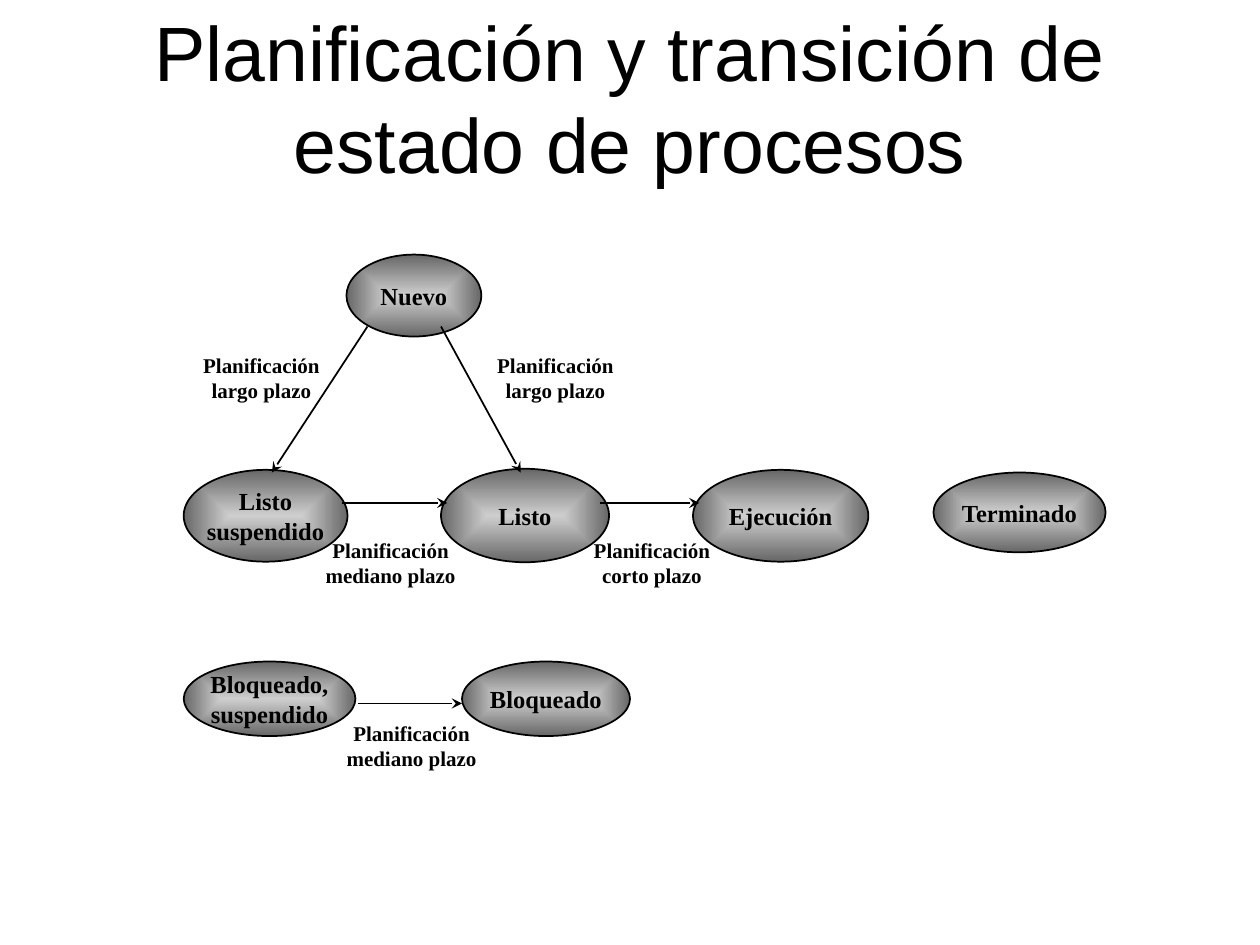
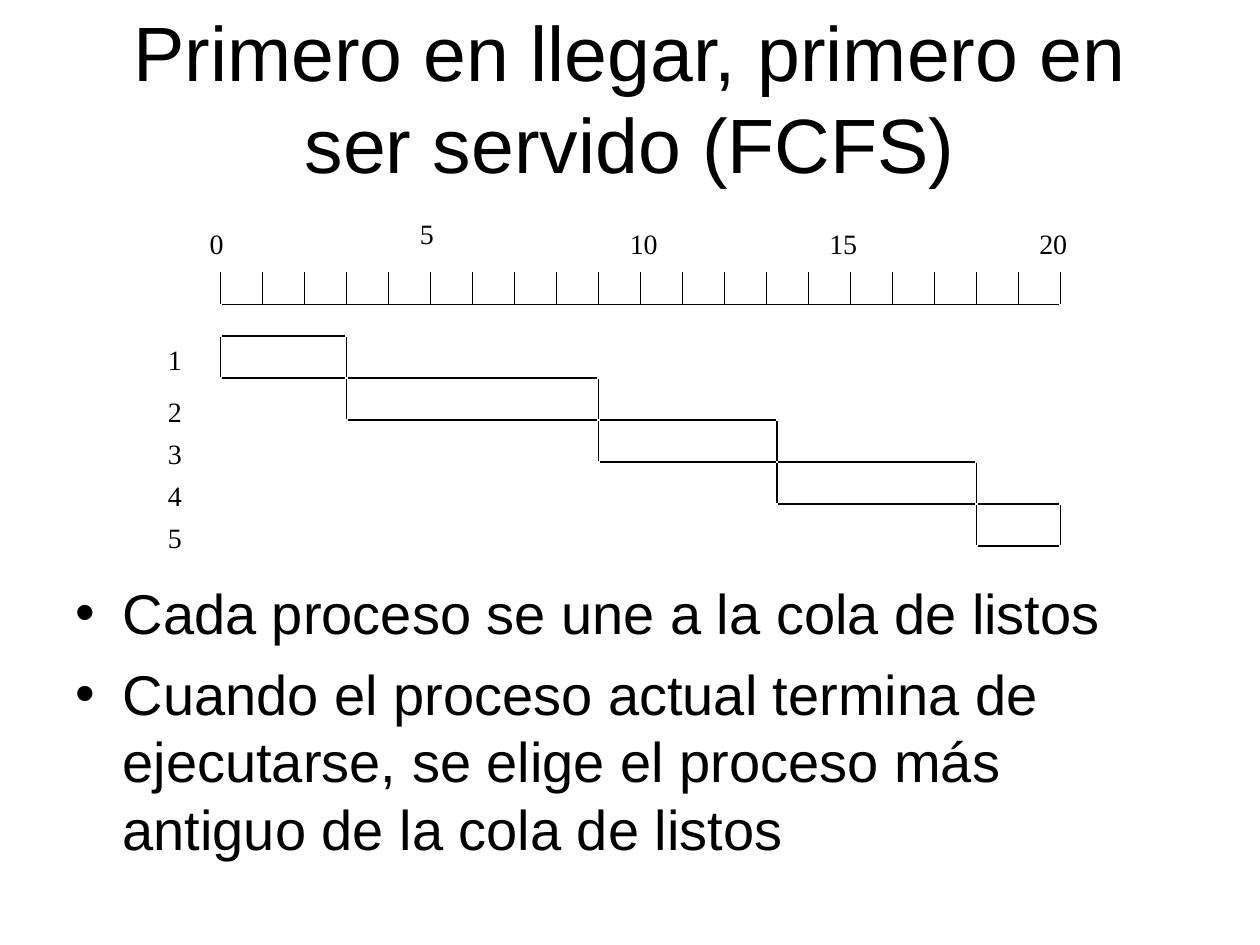
from dataclasses import dataclass
from itertools import pairwise

from lxml.etree import SubElement
from pptx import Presentation
from pptx.dml.color import RGBColor
from pptx.enum.shapes import MSO_CONNECTOR, MSO_SHAPE
from pptx.enum.text import MSO_ANCHOR, MSO_AUTO_SIZE, PP_ALIGN
from pptx.oxml.ns import qn
from pptx.util import Inches, Pt

OVAL = MSO_SHAPE.OVAL
STRAIGHT = MSO_CONNECTOR.STRAIGHT
CENTER, LEFT = PP_ALIGN.CENTER, PP_ALIGN.LEFT
MIDDLE, BOTTOM = MSO_ANCHOR.MIDDLE, MSO_ANCHOR.BOTTOM
FIXED, GROW = MSO_AUTO_SIZE.NONE, MSO_AUTO_SIZE.SHAPE_TO_FIT_TEXT

HEX = {"ink": "000000", "light": "CECECE", "dark": "676767"}
SANS, SERIF = "Arial", "Times New Roman"

# The slide is a grid of 120 columns and 90 rows of square cells.
WIDE, HIGH = Inches(10), Inches(7.5)
CELL = WIDE / 120


@dataclass(frozen=True)
class Box:
    col: float
    row: float
    cols: float
    rows: float
    text: str


@dataclass(frozen=True)
class Line:
    col: float
    row: float
    end_col: float
    end_row: float


@dataclass(frozen=True)
class Style:
    size: int
    face: str = SERIF
    bold: bool = False
    align: PP_ALIGN = CENTER


HEAD = Style(44, SANS)
BODY = Style(32, SANS, align=LEFT)
STATE = Style(14, bold=True)
LABEL = Style(12, bold=True)
MARK = Style(16, align=LEFT)

STATES = [
    Box(88.9, 45, 16.4, 7.6, "Terminado"),
    Box(66, 44.75, 16.7, 8.75, "Ejecución"),
    Box(42, 44.65, 16, 8.9, "Listo"),
    Box(44, 63, 16, 7.1, "Bloqueado"),
    Box(17.5, 63, 16.35, 7.1, "Bloqueado,\nsuspendido"),
    Box(17.5, 44.75, 15.6, 8.75, "Listo\nsuspendido"),
    Box(33, 24.25, 12.85, 7.8, "Nuevo"),
]
MOVES = [
    Line(34.1, 67, 44, 67),
    Line(32.6, 47.9, 42.6, 47.9),
    Line(35, 31.1, 25.9, 45),
    Line(42, 31.1, 49.6, 45),
    Line(57.1, 47.9, 66.6, 47.9),
]
PLANS = [
    Box(18.1, 33, 13.6, 6, "Planificación\nlargo plazo"),
    Box(29.8, 50.6, 14.8, 6, "Planificación\nmediano plazo"),
    Box(31.8, 68, 14.8, 6, "Planificación\nmediano plazo"),
    Box(46.1, 33, 13.6, 6, "Planificación\nlargo plazo"),
    Box(55.3, 50.6, 13.6, 6, "Planificación\ncorto plazo"),
]

ORIGIN, STEP, TICKS = 21, 4, 20
AXIS, TOP = 29, 32
GAP = 0.1
TIMES = [0, 3, 9, 13.25, 18, 20]
SCALE = [
    Box(18.8, 21, 3.8, 4.3, "0"),
    Box(38.8, 20, 3.8, 4.3, "5"),
    Box(58.8, 21, 5.3, 4.3, "10"),
    Box(77.8, 21, 5.3, 4.3, "15"),
    Box(97.8, 21, 5.3, 4.3, "20"),
]
JOBS = [Box(14.8, row, 3.7, 4.3, str(num))
        for num, row in enumerate((32, 37, 41, 45, 49), 1)]
POINTS = Box(6, 54.5, 108, 29.6,
             "Cada proceso se une a la cola de listos\n"
             "Cuando el proceso actual termina de ejecutarse, "
             "se elige el proceso más antiguo de la cola de listos")


def color(name: str) -> RGBColor:
    return RGBColor.from_string(HEX[name])


def cells(*counts: float) -> list[int]:
    """Turn counts of grid cells into lengths."""
    return [round(count * CELL) for count in counts]


def place(box: Box) -> list[int]:
    return cells(box.col, box.row, box.cols, box.rows)


def style_text(para, style: Style) -> None:
    para.alignment = style.align
    font = para.font
    font.name, font.size, font.bold = style.face, Pt(style.size), style.bold
    font.color.rgb = color("ink")


def write(frame, text: str, style: Style) -> None:
    frame.text = text
    for para in frame.paragraphs:
        style_text(para, style)


def add_head(deck, text: str):
    """Add a title-only slide and set its title."""
    slide = deck.slides.add_slide(deck.slide_layouts[5])
    head = slide.shapes.title
    head.left, head.top, head.width, head.height = cells(6, 3.6, 108, 15)
    frame = head.text_frame
    write(frame, text, HEAD)
    frame.word_wrap, frame.auto_size = True, FIXED
    frame.vertical_anchor = BOTTOM
    return slide


def add_text(shapes, box: Box, style: Style) -> None:
    """Add text that keeps its own line breaks."""
    frame = shapes.add_textbox(*place(box)).text_frame
    write(frame, box.text, style)
    frame.word_wrap, frame.auto_size = False, GROW


def add_line(shapes, line: Line, arrow: bool = False) -> None:
    link = shapes.add_connector(
        STRAIGHT, *cells(line.col, line.row, line.end_col, line.end_row))
    link.line.color.rgb = color("ink")
    link.line.width = Pt(1)
    props = link.element.spPr
    if arrow:
        SubElement(props.find(qn("a:ln")), qn("a:tailEnd"), type="stealth")
    SubElement(props, qn("a:effectLst"))


def add_state(shapes, box: Box) -> None:
    """Add an oval shaded from a light centre to dark edges."""
    oval = shapes.add_shape(OVAL, *place(box))
    oval.shadow.inherit = False
    oval.line.color.rgb = color("ink")
    oval.line.width = Pt(1)
    oval.fill.gradient()
    for stop, name in zip(oval.fill.gradient_stops, ("light", "dark")):
        stop.color.rgb = color(name)
    grad = oval.element.spPr.find(qn("a:gradFill"))
    grad.remove(grad.find(qn("a:lin")))
    shade = SubElement(grad, qn("a:path"), path="rect")
    SubElement(shade, qn("a:fillToRect"),
               {side: "50000" for side in "ltrb"})
    frame = oval.text_frame
    write(frame, box.text, STATE)
    frame.word_wrap, frame.vertical_anchor = False, MIDDLE


def add_points(shapes, box: Box) -> None:
    """Add a bulleted list with a hanging indent."""
    frame = shapes.add_textbox(*place(box)).text_frame
    frame.word_wrap = True
    frame.text = box.text
    hang = Pt(27)
    for para in frame.paragraphs:
        para.space_before = Pt(8)
        props = para._p.get_or_add_pPr()
        props.set("marL", str(hang))
        props.set("indent", str(-hang))
        SubElement(props, qn("a:buFont"), typeface=SANS)
        SubElement(props, qn("a:buChar"), char="•")
        style_text(para, BODY)


def time_col(time: float) -> float:
    return ORIGIN + time * STEP


def add_axis(shapes) -> None:
    group = shapes.add_group_shape().shapes
    add_line(group, Line(ORIGIN + GAP, AXIS, time_col(TICKS) - GAP, AXIS))
    for tick in range(TICKS + 1):
        col = time_col(tick)
        add_line(group, Line(col, AXIS, col, AXIS - 3.1))
    for mark in SCALE:
        add_text(group, mark, MARK)


def add_bar(shapes, start: float, end: float, row: float) -> None:
    """Outline one job with four lines that stop short of the corners."""
    left, right, base = time_col(start), time_col(end), row + STEP
    for col in (left, right):
        add_line(shapes, Line(col, row + GAP, col, base - GAP))
    for level in (row, base):
        add_line(shapes, Line(left + GAP, level, right - GAP, level))


def add_states(deck) -> None:
    shapes = add_head(
        deck, "Planificación y transición de estado de procesos").shapes
    for state in STATES:
        add_state(shapes, state)
    for move in MOVES:
        add_line(shapes, move, arrow=True)
    for plan in PLANS:
        add_text(shapes, plan, LABEL)


def add_queue(deck) -> None:
    shapes = add_head(
        deck, "Primero en llegar, primero en ser servido (FCFS)").shapes
    add_points(shapes, POINTS)
    add_axis(shapes)
    for num, (start, end) in enumerate(pairwise(TIMES)):
        add_bar(shapes, start, end, TOP + num * STEP)
    for job in JOBS:
        add_text(shapes, job, MARK)


def main() -> None:
    deck = Presentation()
    deck.slide_width, deck.slide_height = WIDE, HIGH
    add_states(deck)
    add_queue(deck)
    deck.save("out.pptx")


if __name__ == "__main__":
    main()
